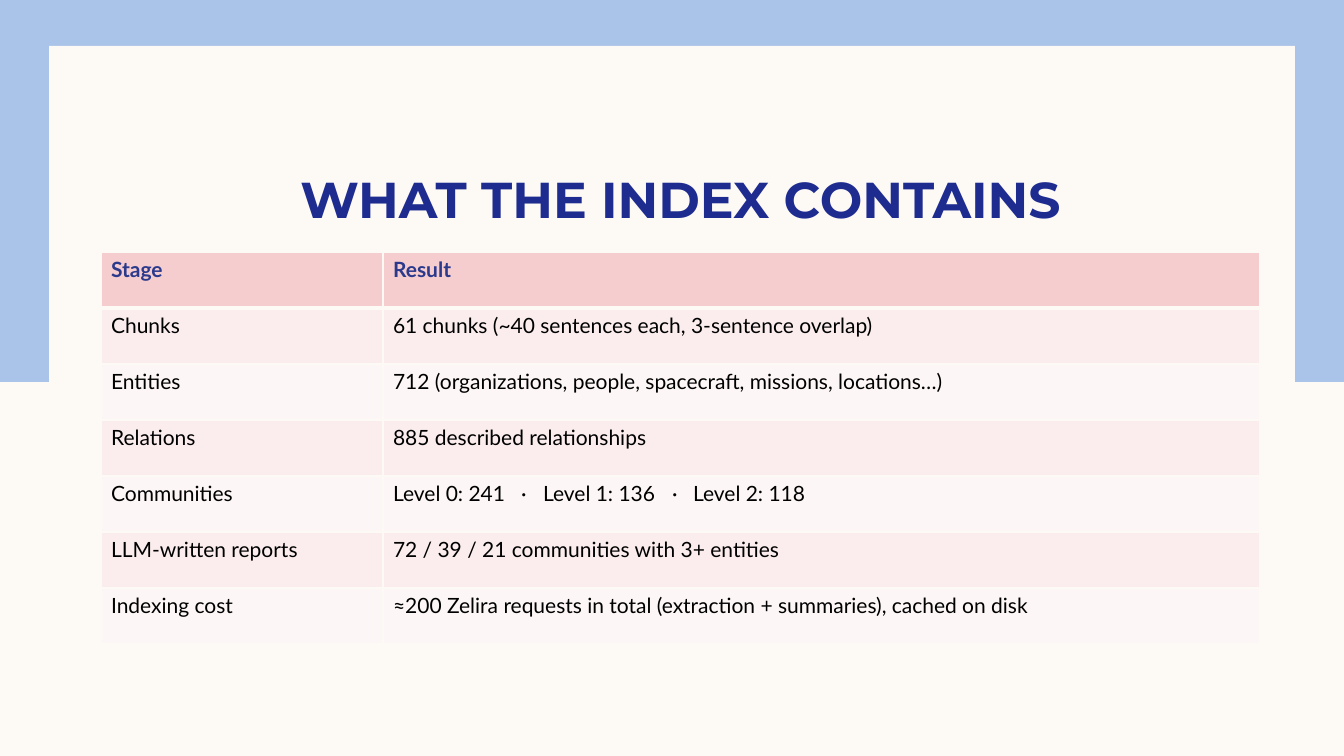
import pptx
import pptx.dml.color
import pptx.enum.shapes
import pptx.enum.text
import pptx.oxml
import pptx.oxml.ns
import pptx.util

EMU_PER_PX = 914400 / 100.8
CREAM = "FDFAF6"
BLUE = "AAC3E8"
HEADER_FILL = "F5CDCE"
BAND_FILLS = ["FDF6F6", "FBEDED"]
HEADER_FORMAT = {"name": "Lato", "size": pptx.util.Pt(15), "bold": True}
BODY_FORMAT = {**HEADER_FORMAT, "bold": False}
TITLE_FORMAT = {"name": "Montserrat", "size": pptx.util.Pt(36), "bold": True}
COLUMN_WIDTHS = [282, 877]
ROW_HEIGHT = 56
LEVEL_TABS = [128, 150, 279, 300]
ROWS = [
    ("Stage", "Result"),
    ("Chunks", "61 chunks (~40 sentences each, 3-sentence overlap)"),
    ("Entities", "712 (organizations, people, spacecraft, missions, locations…)"),
    ("Relations", "885 described relationships"),
    ("Communities", "Level 0: 241\t·\tLevel 1: 136\t·\tLevel 2: 118"),
    ("LLM-written reports", "72 / 39 / 21 communities with 3+ entities"),
    ("Indexing cost", "≈200 Zelira requests in total (extraction + summaries), cached on disk"),
]


def px(length):
    return pptx.util.Emu(round(length * EMU_PER_PX))


def color(value):
    return pptx.dml.color.RGBColor.from_string(value)


def set_attributes(target, values):
    for name, value in values.items():
        setattr(target, name, value)


def paint(fill, value):
    fill.solid()
    fill.fore_color.rgb = color(value)


def add_rectangle(slide, left, top, width, height, fill):
    shape = slide.shapes.add_shape(
        pptx.enum.shapes.MSO_SHAPE.RECTANGLE, px(left), px(top), px(width), px(height)
    )
    shape.shadow.inherit = False
    shape.line.fill.background()
    paint(shape.fill, fill)


def write_text(paragraph, text, values, text_color):
    run = paragraph.add_run()
    run.text = text
    set_attributes(run.font, values)
    run.font.color.rgb = color(text_color)


def format_title(slide, text):
    title = slide.shapes.title
    slide.shapes._spTree.append(title._element)
    set_attributes(
        title, {"left": px(101), "top": px(117), "width": px(1159), "height": px(112)}
    )
    set_attributes(title.text_frame, {
        "word_wrap": True,
        "auto_size": pptx.enum.text.MSO_AUTO_SIZE.NONE,
        "vertical_anchor": pptx.enum.text.MSO_ANCHOR.BOTTOM,
        "margin_left": px(10),
        "margin_right": px(10),
        "margin_top": 0,
        "margin_bottom": 0,
    })
    paragraph = title.text_frame.paragraphs[0]
    paragraph.alignment = pptx.enum.text.PP_ALIGN.CENTER
    write_text(paragraph, text, TITLE_FORMAT, "1F2C8F")


def add_tabs(paragraph, positions):
    tabs = "".join(f'<a:tab pos="{px(position)}" algn="l"/>' for position in positions)
    namespace = pptx.oxml.ns.nsdecls("a")
    paragraph._p.get_or_add_pPr().append(
        pptx.oxml.parse_xml(f"<a:tabLst {namespace}>{tabs}</a:tabLst>")
    )


def add_borders(cell, widths):
    properties = cell._tc.get_or_add_tcPr()
    namespace = pptx.oxml.ns.nsdecls("a")
    for side, width in widths.items():
        properties.append(pptx.oxml.parse_xml(
            f'<a:ln{side} {namespace} w="{pptx.util.Pt(width)}"><a:solidFill>'
            f'<a:srgbClr val="{CREAM}"/></a:solidFill></a:ln{side}>'
        ))


def format_cell(cell, text, row_index):
    is_header = row_index == 0
    add_borders(cell, {
        "L": 1,
        "R": 1,
        "T": 3 if row_index == 1 else 1,
        "B": 3 if is_header else 1,
    })
    paint(cell.fill, HEADER_FILL if is_header else BAND_FILLS[row_index % 2])
    paragraph = cell.text_frame.paragraphs[0]
    if "\t" in text:
        add_tabs(paragraph, LEVEL_TABS)
    write_text(
        paragraph,
        text,
        HEADER_FORMAT if is_header else BODY_FORMAT,
        "2B3A8C" if is_header else "000000",
    )


def add_index_table(slide, left, top):
    table = slide.shapes.add_table(
        len(ROWS), len(COLUMN_WIDTHS), px(left), px(top),
        px(sum(COLUMN_WIDTHS)), px(ROW_HEIGHT * len(ROWS)),
    ).table
    for column, width in zip(table.columns, COLUMN_WIDTHS):
        column.width = px(width)
    for row_index, texts in enumerate(ROWS):
        table.rows[row_index].height = px(ROW_HEIGHT)
        for column_index, text in enumerate(texts):
            format_cell(table.cell(row_index, column_index), text, row_index)


def main():
    presentation = pptx.Presentation()
    presentation.slide_width = px(1344)
    presentation.slide_height = px(756)
    slide = presentation.slides.add_slide(presentation.slide_layouts[5])
    paint(slide.background.fill, CREAM)
    add_rectangle(slide, 0, 0, 1344, 382, BLUE)
    add_rectangle(slide, 49, 46, 1246, 664, CREAM)
    format_title(slide, "WHAT THE INDEX CONTAINS")
    add_index_table(slide, 101, 252)
    presentation.save("out.pptx")


if __name__ == "__main__":
    main()
